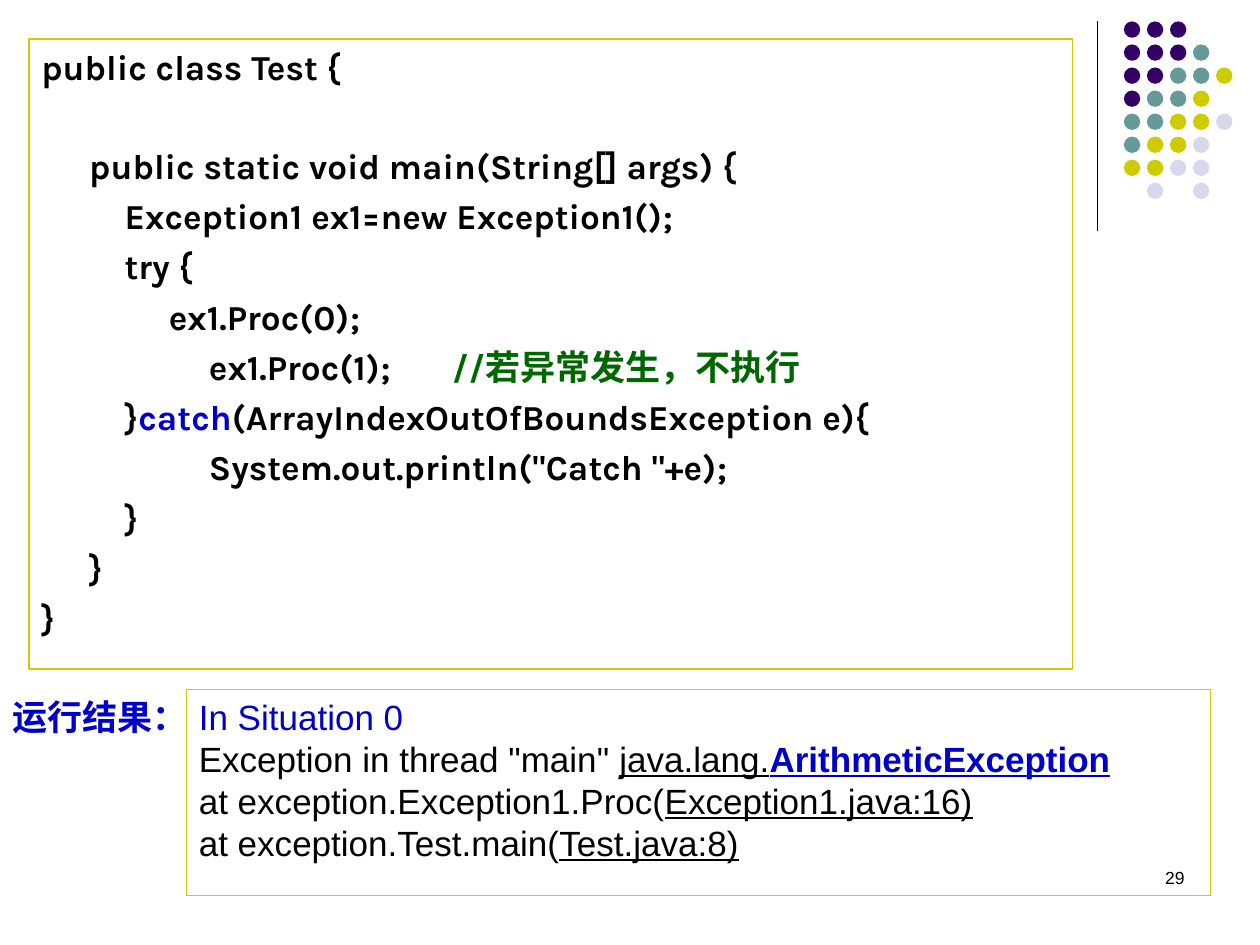
import pptx
import pptx.util
import pptx.dml.color
import pptx.enum.shapes
import pptx.enum.text
import lxml.etree

Inches, Pt = pptx.util.Inches, pptx.util.Pt
SHAPES = pptx.enum.shapes.MSO_SHAPE
BLACK, BLUE, GREEN, OLIVE = "000000", "0000CC", "006600", "CCCC00"


def color(hex_text):
    return pptx.dml.color.RGBColor.from_string(hex_text)


def write_paragraphs(box, lines, font_name, size, bold=None):
    """Fill a box; each line is a list of (text, colour, font attributes) spans."""
    frame = box.text_frame
    frame.vertical_anchor = pptx.enum.text.MSO_ANCHOR.TOP
    for index, spans in enumerate(lines):
        para = frame.paragraphs[0] if index == 0 else frame.add_paragraph()
        para.alignment = pptx.enum.text.PP_ALIGN.LEFT
        para.font.name = font_name
        para.font.size = Pt(size)
        para.font.bold = bold
        for text, hex_text, attributes in spans:
            span = para.add_run()
            span.text = text
            span.font.color.rgb = color(hex_text)
            for name in attributes:
                setattr(span.font, name, True)
    return frame


deck = pptx.Presentation()
deck.slide_width, deck.slide_height = Inches(10), Inches(7.5)
page = deck.slides.add_slide(deck.slide_layouts[6])

# Corner decoration: a rule and a grid of dots
rule = page.shapes.add_connector(
    pptx.enum.shapes.MSO_CONNECTOR.STRAIGHT,
    Inches(8.71), Inches(0.17), Inches(8.71), Inches(1.83))
rule.line.color.rgb = color(BLACK)
rule.line.width = Pt(0.75)
lxml.etree.SubElement(rule._element.spPr, pptx.oxml.ns.qn("a:effectLst"))

dot_colors = {"P": "330066", "T": "669999", "Y": OLIVE, "L": "D8D8EC"}
dot_rows = ["PPP", "PPPT", "PPTTY", "PTTY", "TTYYL", "TYYL", "YYLL", " L L"]
dot_pitch = 1.28 / 7
for row, letters in enumerate(dot_rows):
    for column, letter in enumerate(letters):
        if letter == " ":
            continue
        dot = page.shapes.add_shape(
            SHAPES.OVAL, Inches(8.92 + column * dot_pitch),
            Inches(0.17 + row * dot_pitch), Inches(0.13), Inches(0.13))
        dot.shadow.inherit = False
        dot.fill.solid()
        dot.fill.fore_color.rgb = color(dot_colors[letter])
        dot.line.fill.background()

# Outlined boxes for the code and its output
outlined = []
for left, top, width, height in [(0.23, 0.31, 8.28, 5), (1.48, 5.47, 8.13, 1.64)]:
    box = page.shapes.add_shape(
        SHAPES.RECTANGLE, Inches(left), Inches(top), Inches(width), Inches(height))
    box.shadow.inherit = False
    box.fill.background()
    box.line.color.rgb = color(OLIVE)
    box.line.width = Pt(0.75)
    box.text_frame.word_wrap = True
    outlined.append(box)
code_box, output_box = outlined

code_lines = [
    [("public class Test {", BLACK, [])],
    [("public static void main(String[] args) {", BLACK, [])],
    [("    Exception1 ex1=new Exception1();", BLACK, [])],
    [("    try {", BLACK, [])],
    [("         ex1.Proc(0);", BLACK, [])],
    [("       \t ex1.Proc(1);\t", BLACK, []), ("//若异常发生，不执行", GREEN, [])],
    [("    }", BLACK, []), ("catch", BLUE, []),
     ("(ArrayIndexOutOfBoundsException e){", BLACK, [])],
    [("   \t\t System.out.println(\"Catch \"+e);", BLACK, [])],
    [("    }", BLACK, [])],
    [("}", BLACK, [])],
    [("}", BLACK, [])],
]
code_frame = write_paragraphs(code_box, code_lines, "Karla", 20, bold=True)
last = len(code_lines) - 1
for index, para in enumerate(code_frame.paragraphs):
    margin = 0.38 if index in (0, last) else 0.76
    properties = para._p.get_or_add_pPr()
    properties.set("marL", str(Inches(margin)))
    properties.set("indent", str(Inches(-0.38)))
    if index > 0:
        # The method stands one empty line below the class header
        para.space_before = Pt(32.7 if index == 1 else 4.7)

number_box = page.shapes.add_textbox(Inches(7.17), Inches(6.83), Inches(2.33), Inches(0.5))
number_frame = write_paragraphs(number_box, [[("29", BLACK, [])]], "Arial", 10)
number_frame.paragraphs[0].alignment = pptx.enum.text.PP_ALIGN.RIGHT

output_lines = [
    [("In Situation 0", BLUE, [])],
    [("Exception in thread \"main\" ", BLACK, []), ("java.lang.", BLACK, ["underline"]),
     ("ArithmeticException", BLUE, ["underline", "bold"])],
    [("at exception.Exception1.Proc(", BLACK, []),
     ("Exception1.java:16)", BLACK, ["underline"])],
    [("at exception.Test.main(", BLACK, []), ("Test.java:8)", BLACK, ["underline"])],
]
write_paragraphs(output_box, output_lines, "Arial", 20)

label_box = page.shapes.add_textbox(0, Inches(5.47), Inches(1.56), Inches(0.44))
label_frame = write_paragraphs(
    label_box, [[("运行结果：", BLUE, [])]], "Arial", 20, bold=True)
label_frame.word_wrap = False

deck.save("out.pptx")
